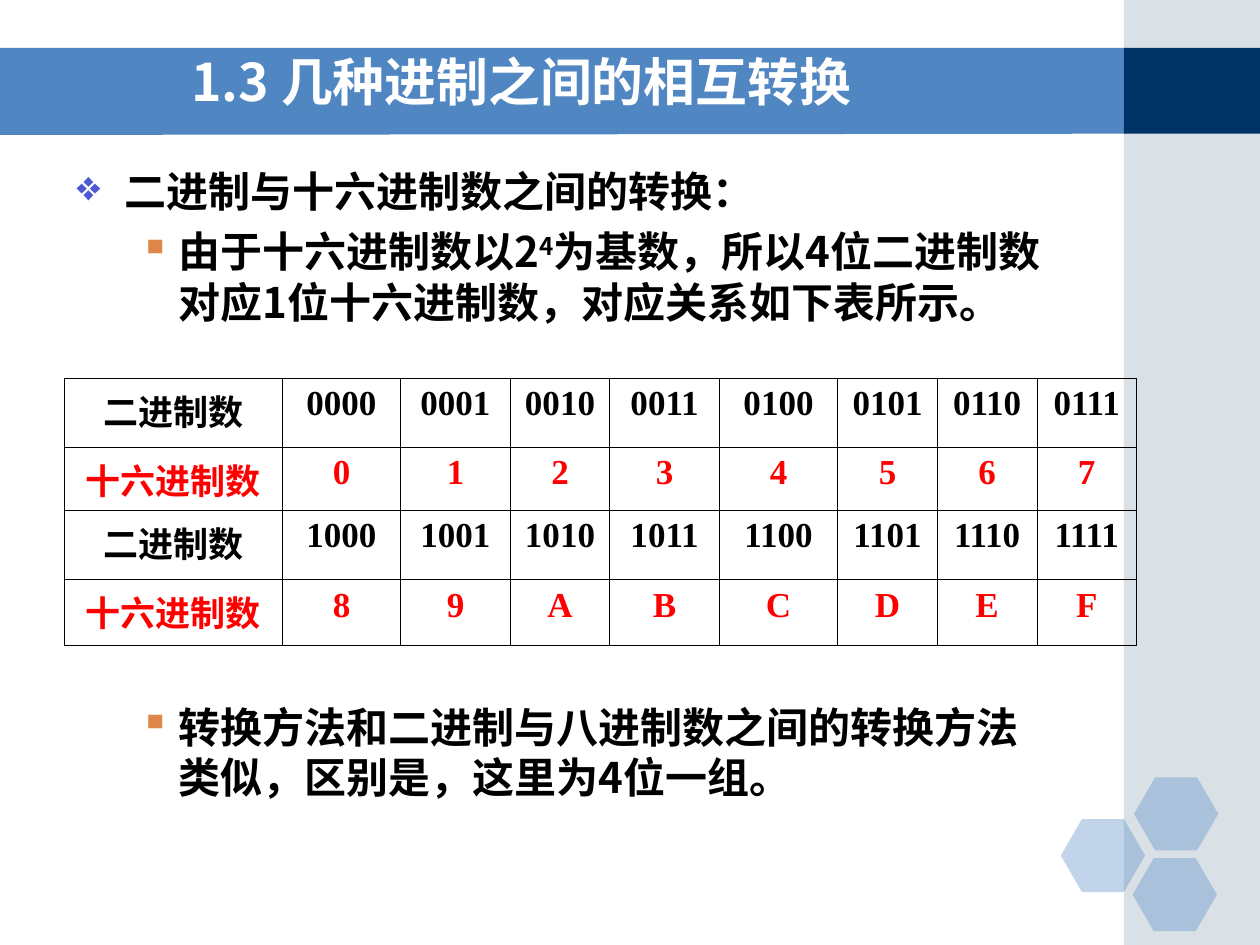
from lxml import etree
from pptx import Presentation
from pptx.dml.color import RGBColor
from pptx.enum.shapes import MSO_SHAPE
from pptx.enum.text import MSO_ANCHOR, PP_ALIGN
from pptx.oxml.ns import qn
from pptx.util import Pt

RECTANGLE = MSO_SHAPE.RECTANGLE
HEXAGON = MSO_SHAPE.HEXAGON
MIDDLE = MSO_ANCHOR.MIDDLE
CENTER = PP_ALIGN.CENTER

COLORS = {
    "band": "5086C2",
    "navy": "003366",
    "strip": "A0B5C4",
    "diamond": "4C59D2",
    "square": "DE8848",
    "black": "000000",
    "red": "FF0000",
    "white": "FFFFFF",
}
SANS = "Noto Sans CJK SC"
SERIF = "Times New Roman"
BULLETS = {
    0: ("❖", "diamond", 27.4, -27.4),
    1: ("▪", "square", 58.3, -22.3),
}
COLUMN_WIDTHS = [124.6, 67.7, 62.6, 56.9, 62.6, 67.7, 56.9, 56.9, 56.9]
ROW_HEIGHTS = [39.6, 36, 39.6, 37.4]


def rgb(name):
    return RGBColor.from_string(COLORS[name])


def add_element(parent, tag, **attributes):
    return etree.SubElement(parent, qn(tag), attributes)


def paint(shape, color, alpha=100):
    shape.shadow.inherit = False
    shape.fill.solid()
    shape.fill.fore_color.rgb = rgb(color)
    shape.line.fill.background()
    if alpha < 100:
        fill_color = shape.fill._xPr.find(qn("a:solidFill"))[0]
        add_element(fill_color, "a:alpha", val=str(alpha * 1000))


def style_span(span, size, color, latin=SANS):
    span.font.size = Pt(size)
    span.font.bold = True
    span.font.name = latin
    span.font.color.rgb = rgb(color)
    add_element(span._r.get_or_add_rPr(), "a:ea", typeface=SANS)


def add_block(page, left, top, width, height, color, alpha=100, kind=RECTANGLE):
    shape = page.shapes.add_shape(kind, Pt(left), Pt(top), Pt(width), Pt(height))
    paint(shape, color, alpha)
    return shape


def add_banner(page, left, top, width, height):
    builder = page.shapes.build_freeform(Pt(left), Pt(top))
    right, bottom = left + width, top + height
    builder.add_line_segments(
        [(Pt(right), Pt(top)), (Pt(right), Pt(bottom - 0.7)), (Pt(left), Pt(bottom))]
    )
    paint(builder.convert_to_shape(), "band")


def add_side_strip(page, left, top, width, height):
    add_block(page, left, top, width, height, "strip", 40)
    add_block(page, left, top + 27.4, width, 49, "navy")


def add_hexagons(page, left, top):
    for across, down in [(0, 23.8), (41.8, 0), (41, 46.1)]:
        hexagon = add_block(
            page, left + across, top + down, 48.2, 41.8, "band", 35, HEXAGON
        )
        hexagon.adjustments[0] = 0.29


def add_text_frame(page, left, top, width, height):
    box = page.shapes.add_textbox(Pt(left), Pt(top), Pt(width), Pt(height))
    box.text_frame.word_wrap = True
    return box.text_frame


def add_title(page, left, top, width, height, text):
    frame = add_text_frame(page, left, top, width, height)
    frame.vertical_anchor = MIDDLE
    frame.text = text
    para = frame.paragraphs[0]
    para.line_spacing = 0.9
    style_span(para.runs[0], 29.6, "white")


def add_bullet(para, level):
    symbol, color, margin, indent = BULLETS[level]
    properties = para._p.get_or_add_pPr()
    properties.set("marL", str(Pt(margin)))
    properties.set("indent", str(Pt(indent)))
    bullet_color = add_element(properties, "a:buClr")
    add_element(bullet_color, "a:srgbClr", val=COLORS[color])
    add_element(properties, "a:buChar", char=symbol)


def add_body(page, left, top, width, height, items):
    frame = add_text_frame(page, left, top, width, height)
    for number, (level, space_before, pieces) in enumerate(items):
        para = frame.add_paragraph() if number else frame.paragraphs[0]
        para.level = level
        add_bullet(para, level)
        para.line_spacing = Pt(28.8)
        para.space_before = Pt(space_before)
        for text, raised in pieces:
            span = para.add_run()
            span.text = text
            style_span(span, 24, "black")
            if raised:
                span._r.get_or_add_rPr().set("baseline", "30000")


def draw_borders(cell):
    properties = cell._tc.get_or_add_tcPr()
    for side in ("a:lnL", "a:lnR", "a:lnT", "a:lnB"):
        line = add_element(properties, side, w=str(Pt(0.45)))
        fill = add_element(line, "a:solidFill")
        add_element(fill, "a:srgbClr", val=COLORS["black"])


def add_number_table(page, left, top, rows):
    table = page.shapes.add_table(
        len(rows), len(COLUMN_WIDTHS), Pt(left), Pt(top),
        Pt(sum(COLUMN_WIDTHS)), Pt(sum(ROW_HEIGHTS)),
    ).table
    table.first_row = False
    table.horz_banding = False
    for column, width in zip(table.columns, COLUMN_WIDTHS):
        column.width = Pt(width)
    for row, height, values in zip(table.rows, ROW_HEIGHTS, rows):
        row.height = Pt(height)
        color = "black" if values[0] == "二进制数" else "red"
        for cell, value in zip(row.cells, values):
            draw_borders(cell)
            cell.fill.background()
            cell.text = value
            para = cell.text_frame.paragraphs[0]
            para.alignment = CENTER
            style_span(para.runs[0], 20, color, SERIF)


def conversion_rows():
    rows = []
    for start in (0, 8):
        numbers = range(start, start + 8)
        rows.append(["二进制数"] + [f"{number:04b}" for number in numbers])
        rows.append(["十六进制数"] + [f"{number:X}" for number in numbers])
    return rows


def main():
    deck = Presentation()
    deck.slide_width, deck.slide_height = Pt(720), Pt(540)
    page = deck.slides.add_slide(deck.slide_layouts[6])
    add_banner(page, 0, 27.4, 644, 49.7)
    add_side_strip(page, 642.2, 0, 77.8, 540)
    add_hexagons(page, 606.2, 444.2)
    add_body(page, 36.7, 90.8, 566.6, 413.3, [
        (0, 0, [("二进制与十六进制数之间的转换：", False)]),
        (1, 6, [
            ("由于十六进制数以2", False),
            ("4", True),
            ("为基数，所以4位二进制数对应1位十六进制数，对应关系如下表所示。", False),
        ]),
        (1, 214, [
            ("转换方法和二进制与八进制数之间的转换方法类似，区别是，这里为4位一组。", False),
        ]),
    ])
    add_number_table(page, 36.7, 216, conversion_rows())
    add_title(page, 102.2, 25.9, 527.8, 44.6, "1.3 几种进制之间的相互转换")
    deck.save("out.pptx")


if __name__ == "__main__":
    main()
